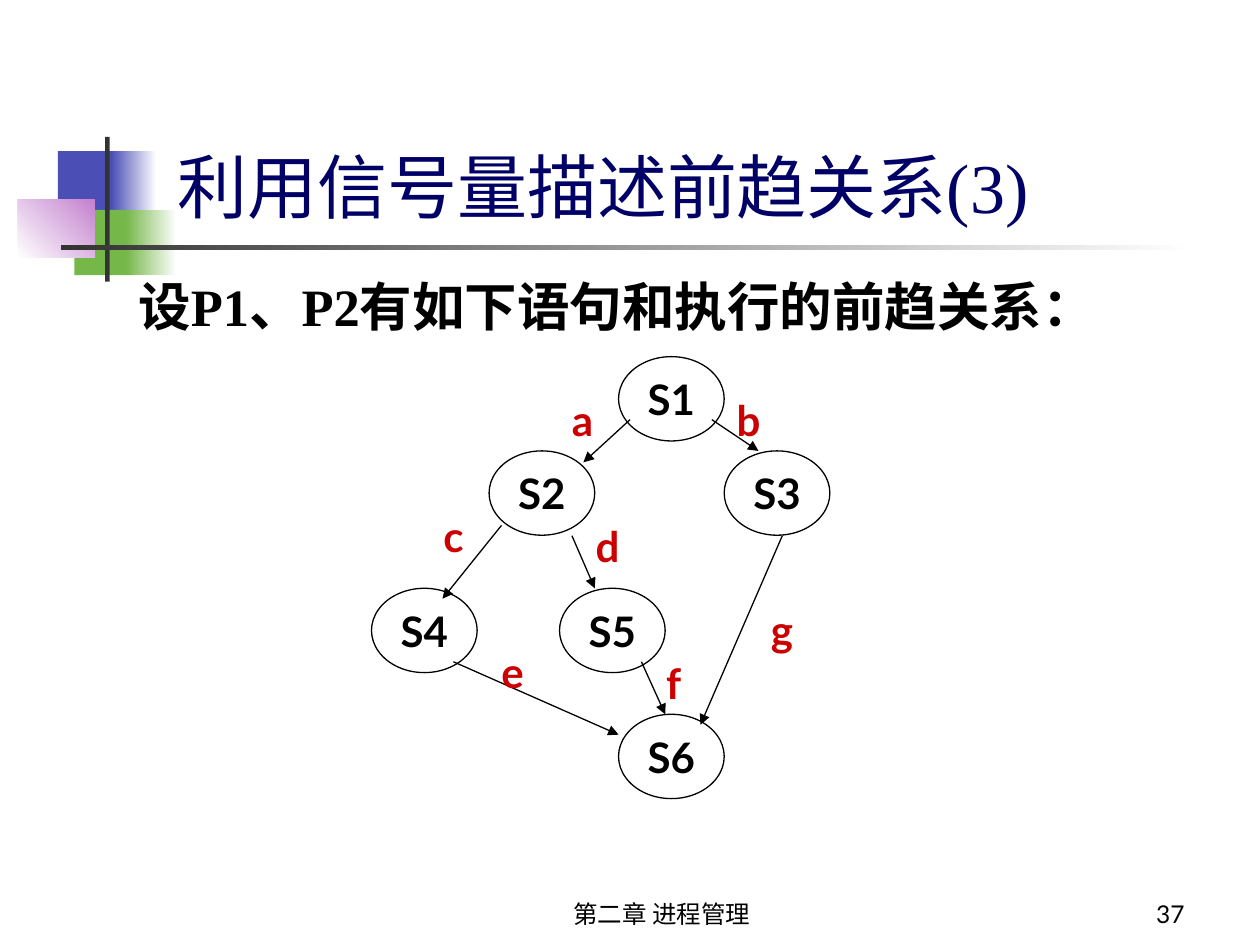
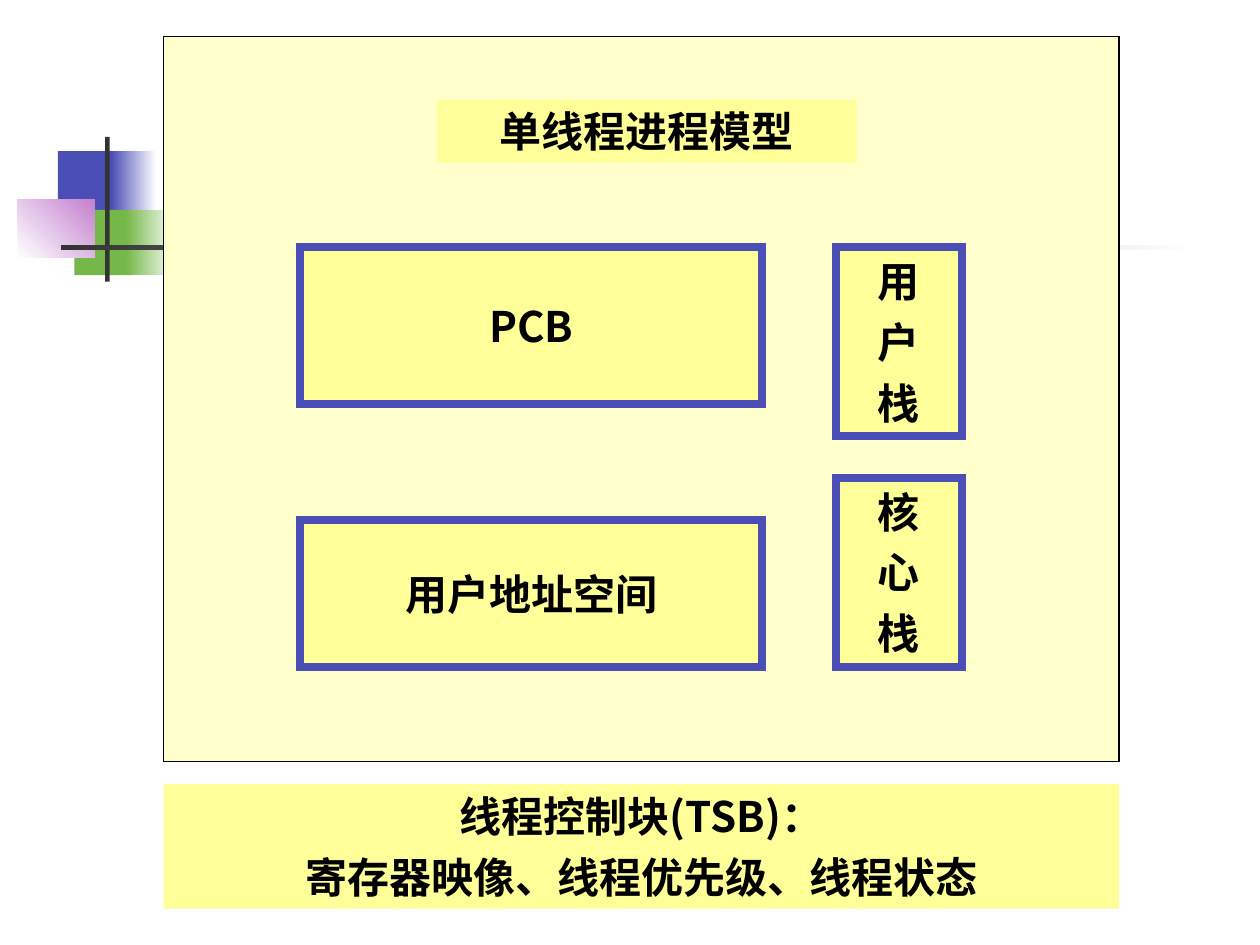
from lxml import etree
from pptx import Presentation
from pptx.dml.color import RGBColor
from pptx.enum.shapes import MSO_CONNECTOR, MSO_SHAPE
from pptx.enum.text import MSO_ANCHOR, PP_ALIGN
from pptx.oxml.ns import qn
from pptx.util import Cm, Pt

RECT, OVAL = MSO_SHAPE.RECTANGLE, MSO_SHAPE.OVAL
LINE = MSO_CONNECTOR.STRAIGHT
LEFT, MID, RIGHT = PP_ALIGN.LEFT, PP_ALIGN.CENTER, PP_ALIGN.RIGHT
TOP, CENTER, LOW = MSO_ANCHOR.TOP, MSO_ANCHOR.MIDDLE, MSO_ANCHOR.BOTTOM
SANS, HAN, SERIF = "Lato", "Noto Sans CJK SC", "Times New Roman"
HUES = {
    "black": "000000", "white": "FFFFFF", "dark": "333333", "navy": "000066",
    "red": "CC0000", "blue": "4B4EB5", "green": "76B749", "pink": "C481CF",
    "cream": "FFFFCC", "yellow": "FFFF99",
}
RGB = {name: RGBColor.from_string(code) for name, code in HUES.items()}


def draw(slide, kind, at, fill=None, edge=None, width=0.75, angle=0):
    """Add a shape; two names in fill make a gradient."""
    shape = slide.shapes.add_shape(kind, *map(Cm, at))
    shape.shadow.inherit = False
    if isinstance(fill, tuple):
        shape.fill.gradient()
        shape.fill.gradient_angle = angle
        for stop, name in zip(shape.fill.gradient_stops, fill):
            stop.color.rgb = RGB[name]
    elif fill:
        shape.fill.solid()
        shape.fill.fore_color.rgb = RGB[fill]
    else:
        shape.fill.background()
    if edge:
        shape.line.color.rgb = RGB[edge]
        shape.line.width = Pt(width)
        join = etree.SubElement(shape._element.spPr.find(qn("a:ln")), qn("a:miter"))
        join.set("lim", "800000")
    else:
        shape.line.fill.background()
    return shape


def write(shape, text, size=24, face=HAN, hue="black", bold=True,
          align=MID, anchor=CENTER, wrap=False):
    """Fill a shape with one paragraph per line of text."""
    frame = shape.text_frame
    frame.word_wrap = wrap
    frame.vertical_anchor = anchor
    for i, line in enumerate(text.split("\n")):
        para = frame.add_paragraph() if i else frame.paragraphs[0]
        para.text = line
        para.alignment = align
        if i:
            para.space_before = Pt(6)
        font = para.font
        font.size, font.name, font.bold = Pt(size), face, bold
        font.color.rgb = RGB[hue]
        base = para._p.pPr.find(qn("a:defRPr"))
        etree.SubElement(base, qn("a:ea")).set("typeface", HAN)


deck = Presentation()
deck.slide_width, deck.slide_height = Cm(25.4), Cm(19.05)
graph, model = [deck.slides.add_slide(deck.slide_layouts[6]) for _ in range(2)]

# Shared corner squares and rules
ART = [
    ((1.17, 3.05, 1.22, 1.32), "blue", 0),
    ((2.24, 3.05, 0.91, 1.32), ("blue", "white"), 0),
    ((1.5, 4.23, 1.17, 1.32), "green", 0),
    ((2.54, 4.23, 1.02, 1.32), ("green", "white"), 0),
    ((0.36, 4.02, 1.55, 1.17), ("white", "pink"), 45),
    ((2.12, 2.76, 0.09, 2.92), "dark", 0),
    ((1.23, 4.94, 22.86, 0.1), ("dark", "white"), 0),
]
for slide in (graph, model):
    for at, fill, angle in ART:
        draw(slide, RECT, at, fill, angle=angle)

# Slide 1: footer, page number, title and lead
FOOT = {"size": 14, "face": SANS, "bold": False, "anchor": LOW, "wrap": True}
TEXTS = [
    ((9.32, 17.58, 8.05, 1.27), "第二章 进程管理", FOOT),
    ((18.85, 17.58, 5.28, 1.27), "37", {**FOOT, "align": RIGHT}),
    ((3.33, 2.77, 20.5, 1.96), "利用信号量描述前趋关系(3)",
     {"size": 40, "face": SERIF, "hue": "navy", "bold": False,
      "align": LEFT, "anchor": TOP, "wrap": True}),
    ((2.54, 5.28, 22.02, 1.47), "设P1、P2有如下语句和执行的前趋关系：",
     {"size": 30, "face": SERIF, "align": LEFT, "anchor": TOP, "wrap": True}),
]
for at, text, style in TEXTS:
    box = graph.shapes.add_textbox(*map(Cm, at))
    write(box, text, **style)
box.text_frame.paragraphs[0].line_spacing = 1.1

# Statement nodes
NODES = {
    "S1": (12.47, 7.19), "S2": (9.86, 9.09), "S3": (14.6, 9.09),
    "S4": (7.49, 11.86), "S5": (11.28, 11.86), "S6": (12.47, 14.4),
}
for name, spot in NODES.items():
    write(draw(graph, OVAL, (*spot, 2.13, 1.7), edge="black"), name, face=SANS)

# Arrows (start, end) with the corner of each label
EDGES = {
    "a": ((12.7, 8.46, 11.76, 9.32), (11.28, 7.82)),
    "b": ((14.35, 8.46, 15.29, 9.09), (14.6, 7.82)),
    "c": ((10.11, 10.59, 8.92, 12.07), (8.69, 10.16)),
    "d": ((11.53, 10.8, 11.99, 11.86), (11.76, 10.36)),
    "e": ((9.14, 13.34, 12.47, 14.81), (9.86, 12.9)),
    "f": ((12.93, 13.34, 13.41, 14.4), (13.18, 13.13)),
    "g": ((15.77, 10.8, 14.12, 14.61), (15.29, 12.07)),
}
for name, (ends, spot) in EDGES.items():
    arrow = graph.shapes.add_connector(LINE, *map(Cm, ends))
    arrow.line.color.rgb = RGB["black"]
    arrow.line.width = Pt(0.75)
    props = arrow._element.spPr
    etree.SubElement(props.find(qn("a:ln")), qn("a:tailEnd")).set("type", "triangle")
    etree.SubElement(props, qn("a:effectLst"))
    label = graph.shapes.add_textbox(*map(Cm, (*spot, 0.94, 1.27)))
    write(label, name, face=SANS, hue="red", align=LEFT, anchor=TOP, wrap=True)

# Slide 2: panel and framed blocks
draw(model, RECT, (3.3, 0.74, 19.26, 14.61), "cream", "black")
BLOCKS = [
    ("PCB", (6.05, 4.98, 9.32, 3.17)),
    ("用\n户\n栈", (16.85, 4.98, 2.54, 3.81)),
    ("用户地址空间", (6.05, 10.48, 9.32, 2.96)),
    ("核\n心\n栈", (16.85, 9.63, 2.54, 3.81)),
]
for text, at in BLOCKS:
    write(draw(model, RECT, at, "yellow", "blue", 4.5), text)

# Heading and thread control block captions
BANDS = [
    ("单线程进程模型", (8.81, 2.01, 8.46, 1.27)),
    ("线程控制块(TSB)：\n寄存器映像、线程优先级、线程状态", (3.3, 15.81, 19.26, 2.51)),
]
for text, at in BANDS:
    write(draw(model, RECT, at, "yellow"), text, anchor=TOP, wrap=True)

deck.save("out.pptx")
